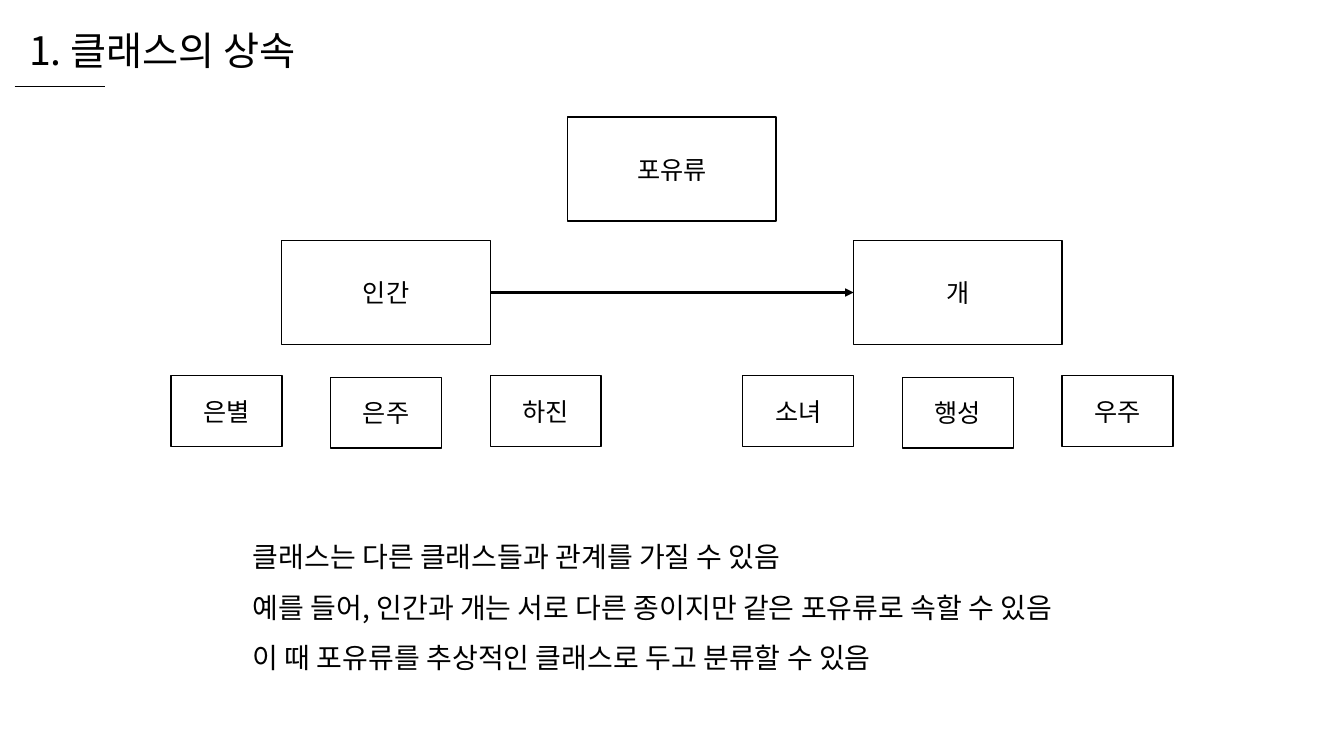
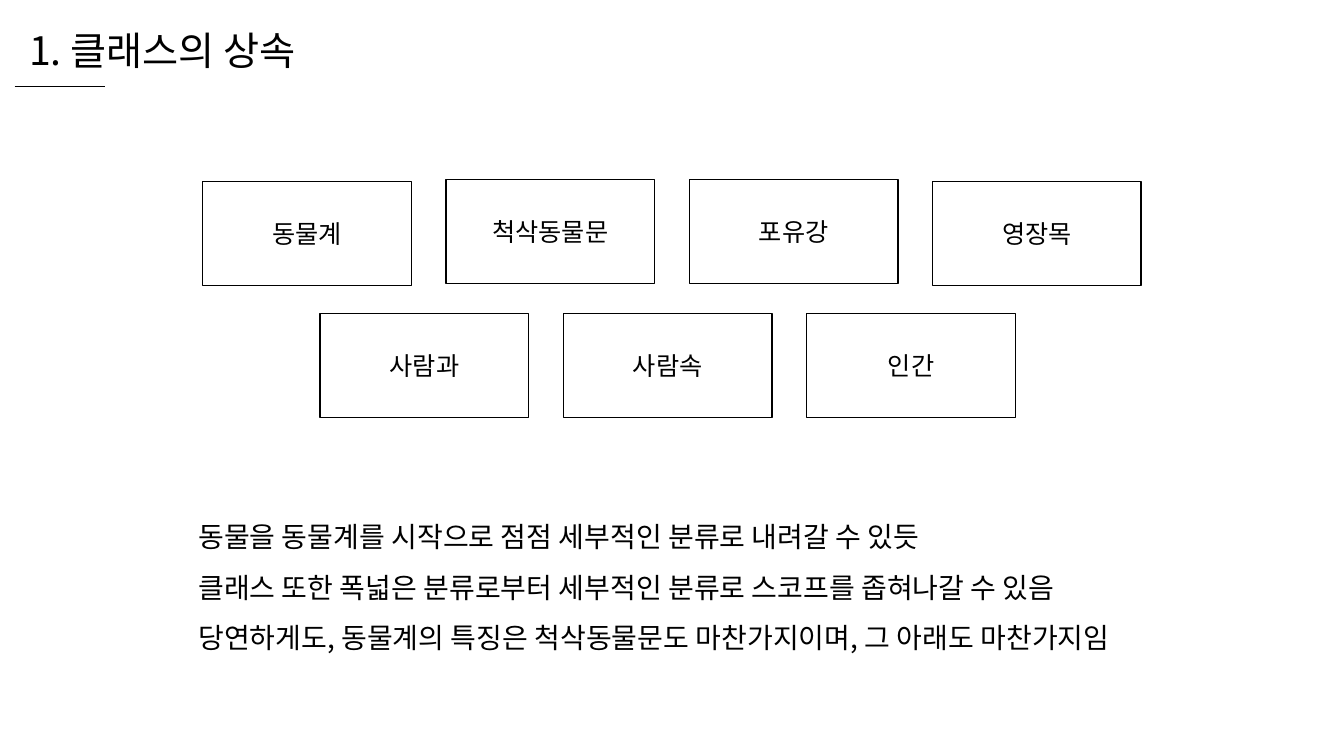
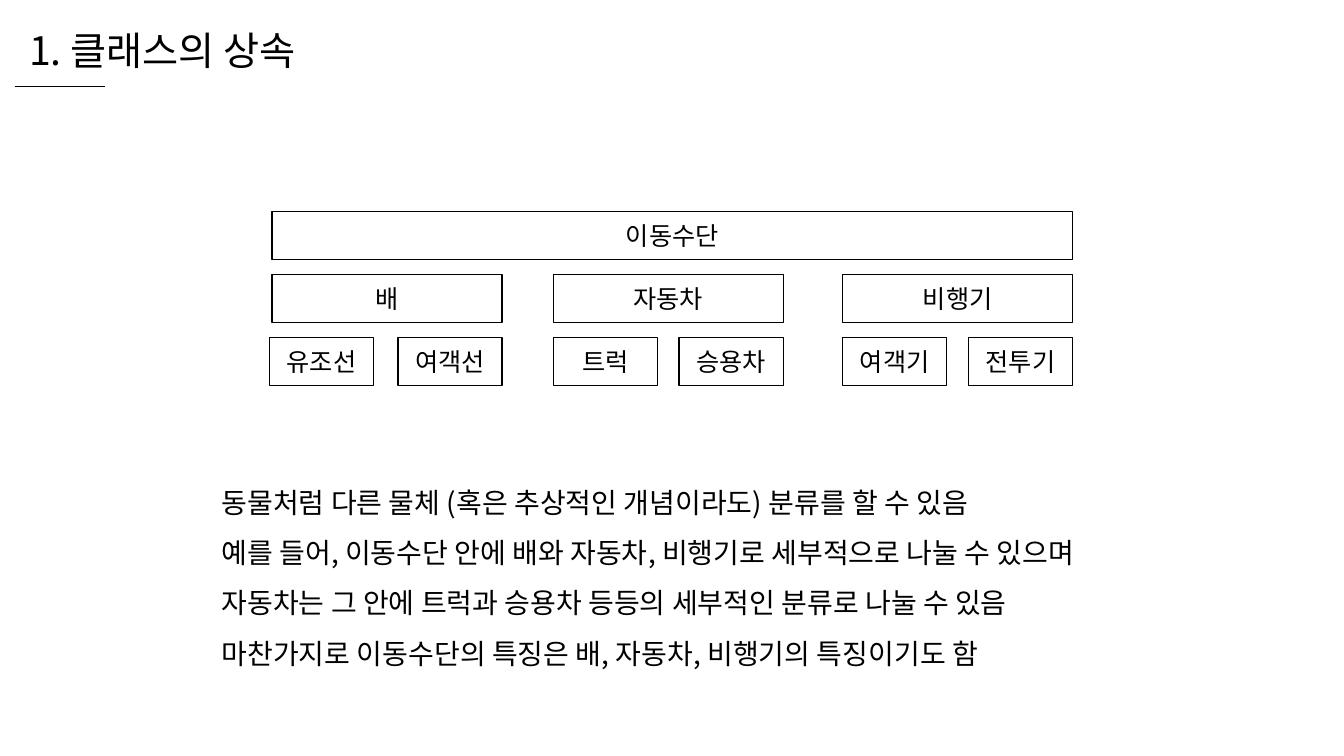
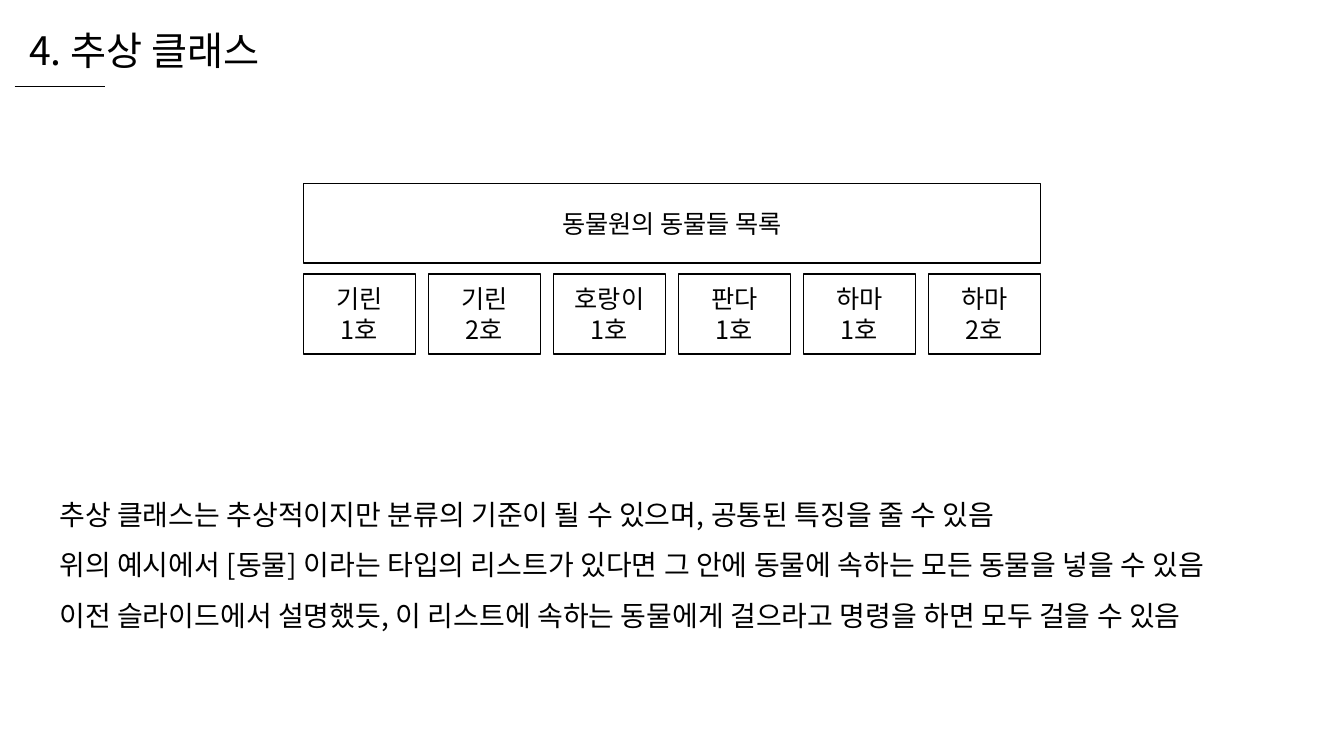
from dataclasses import dataclass

from lxml.etree import SubElement
from pptx import Presentation
from pptx.dml.color import RGBColor
from pptx.enum.shapes import MSO_CONNECTOR, MSO_SHAPE
from pptx.enum.text import MSO_ANCHOR, MSO_AUTO_SIZE, PP_ALIGN
from pptx.oxml.ns import qn
from pptx.util import Pt


@dataclass(frozen=True)
class Theme:
    font: str = "Noto Sans CJK KR"
    ink: RGBColor = RGBColor(0, 0, 0)
    paper: RGBColor = RGBColor(255, 255, 255)
    title_size: int = 28
    body_size: int = 20
    box_size: int = 18
    body_spacing: float = 1.5
    rule_width: float = 0.5
    box_line: float = 1
    arrow_width: float = 1.5


THEME = Theme()
WIDTH, HEIGHT = 960, 540
CENTER = WIDTH / 2
CLASS_BOX = (149, 74.3)  # width and height

# Content: title with its width, then body text with its left, top, width, height
INHERITANCE = ("1. 클래스의 상속", 224)
ABSTRACT = ("4. 추상 클래스", 189.4)

MAMMAL = "포유류"
SPECIES = [
    ("인간", ["은별", "은주", "하진"]),
    ("개", ["소녀", "행성", "우주"]),
]
MAMMAL_BODY = ((173.5, 370, 613.4, 112.3), [
    "클래스는 다른 클래스들과 관계를 가질 수 있음",
    "예를 들어, 인간과 개는 서로 다른 종이지만 같은 포유류로 속할 수 있음",
    "이 때 포유류를 추상적인 클래스로 두고 분류할 수 있음",
])

UPPER_RANKS = ["동물계", "척삭동물문", "포유강", "영장목"]
LOWER_RANKS = ["사람과", "사람속", "인간"]
RANK_BODY = ((134.6, 355.7, 691.2, 112.3), [
    "동물을 동물계를 시작으로 점점 세부적인 분류로 내려갈 수 있듯",
    "클래스 또한 폭넓은 분류로부터 세부적인 분류로 스코프를 좁혀나갈 수 있음",
    "당연하게도, 동물계의 특징은 척삭동물문도 마찬가지이며, 그 아래도 마찬가지임",
])

TRANSPORT = "이동수단"
VEHICLES = [  # name, left, left of the first kind, kinds
    ("배", 194.4, 192.4, ["유조선", "여객선"]),
    ("자동차", 395.3, 395.3, ["트럭", "승용차"]),
    ("비행기", 601.9, 601.9, ["여객기", "전투기"]),
]
VEHICLE_BODY = ((151.2, 331, 651.6, 148.3), [
    "동물처럼 다른 물체 (혹은 추상적인 개념이라도) 분류를 할 수 있음",
    "예를 들어, 이동수단 안에 배와 자동차, 비행기로 세부적으로 나눌 수 있으며",
    "자동차는 그 안에 트럭과 승용차 등등의 세부적인 분류로 나눌 수 있음",
    "마찬가지로 이동수단의 특징은 배, 자동차, 비행기의 특징이기도 함",
])

ZOO = "동물원의 동물들 목록"
ANIMALS = ["기린\n1호", "기린\n2호", "호랑이\n1호", "판다\n1호", "하마\n1호", "하마\n2호"]
ZOO_BODY = ((35.3, 339.8, 889.9, 112.3), [
    "추상 클래스는 추상적이지만 분류의 기준이 될 수 있으며, 공통된 특징을 줄 수 있음",
    "위의 예시에서 [동물] 이라는 타입의 리스트가 있다면 그 안에 동물에 속하는 모든 동물을 넣을 수 있음",
    "이전 슬라이드에서 설명했듯, 이 리스트에 속하는 동물에게 걸으라고 명령을 하면 모두 걸을 수 있음",
])


# Shared helpers
def write_text(shape, text, size, frame_format, paragraph_format):
    frame = shape.text_frame
    frame.text = text
    for name, value in frame_format.items():
        setattr(frame, name, value)
    for paragraph in frame.paragraphs:
        for name, value in paragraph_format.items():
            setattr(paragraph, name, value)
        for run in paragraph.runs:
            for name, value in {"name": THEME.font, "size": Pt(size)}.items():
                setattr(run.font, name, value)
            run.font.color.rgb = THEME.ink
            SubElement(run._r.get_or_add_rPr(), qn("a:ea"), typeface=THEME.font)


FREE_TEXT = {
    "word_wrap": False,
    "auto_size": MSO_AUTO_SIZE.SHAPE_TO_FIT_TEXT,
    "vertical_anchor": MSO_ANCHOR.TOP,
}
BOX_TEXT = {"word_wrap": True, "vertical_anchor": MSO_ANCHOR.MIDDLE}


def add_line(slide, start, end, width):
    line = slide.shapes.add_connector(
        MSO_CONNECTOR.STRAIGHT, *map(Pt, (*start, *end)))
    line.line.color.rgb = THEME.ink
    line.line.width = Pt(width)
    SubElement(line._element.spPr, qn("a:effectLst"))
    return line


def add_box(slide, text, left, top, width, height):
    box = slide.shapes.add_shape(
        MSO_SHAPE.RECTANGLE, *map(Pt, (left, top, width, height)))
    box.shadow.inherit = False
    box.fill.solid()
    box.fill.fore_color.rgb = THEME.paper
    box.line.color.rgb = THEME.ink
    box.line.width = Pt(THEME.box_line)
    write_text(box, text, THEME.box_size, BOX_TEXT, {"alignment": PP_ALIGN.CENTER})
    return box


def add_row(slide, labels, center, tops, size, pitch):
    """Boxes at an equal pitch around a center, each with its own top."""
    first = center - (pitch * (len(labels) - 1) + size[0]) / 2
    return [add_box(slide, label, first + index * pitch, top, *size)
            for index, (label, top) in enumerate(zip(labels, tops))]


def add_slide(presentation, heading, body):
    slide = presentation.slides.add_slide(presentation.slide_layouts[5])
    text, width = heading
    title = slide.shapes.title
    place = {"left": 13.7, "top": 15.1, "width": width, "height": 41.2}
    for name, value in place.items():
        setattr(title, name, Pt(value))
    write_text(title, text, THEME.title_size, FREE_TEXT, {"alignment": PP_ALIGN.LEFT})
    add_line(slide, (10.4, 61.5), (75, 61.5), THEME.rule_width)

    area, lines = body
    text_box = slide.shapes.add_textbox(*map(Pt, area))
    write_text(text_box, "\n".join(lines), THEME.body_size, FREE_TEXT,
               {"line_spacing": THEME.body_spacing})
    return slide


# Slides
def build_mammals(presentation):
    slide = add_slide(presentation, INHERITANCE, MAMMAL_BODY)
    add_row(slide, [MAMMAL], CENTER, [83.5], CLASS_BOX, 0)
    names = [name for name, _ in SPECIES]
    spread = 408.4
    human, dog = add_row(slide, names, CENTER, [171.8] * 2, CLASS_BOX, spread)
    for index, (_, members) in enumerate(SPECIES):
        center = CENTER + (index - 0.5) * spread
        add_row(slide, members, center, [268.3, 269.5, 268.3], (79.2, 50.6), 114)
    arrow = add_line(slide, (0, 0), (0, 0), THEME.arrow_width)
    arrow.begin_connect(human, 3)
    arrow.end_connect(dog, 1)
    SubElement(arrow.line._get_or_add_ln(), qn("a:tailEnd"), type="triangle")


def build_ranks(presentation):
    slide = add_slide(presentation, INHERITANCE, RANK_BODY)
    pitch = 173.8
    add_row(slide, UPPER_RANKS, CENTER, [129.6, 128.2, 128.2, 129.6], CLASS_BOX, pitch)
    add_row(slide, LOWER_RANKS, 477, [223.8] * 3, CLASS_BOX, pitch)


def build_vehicles(presentation):
    slide = add_slide(presentation, INHERITANCE, VEHICLE_BODY)
    height, group_width, kind_width = 34.2, 164.2, 74.4
    top, group_top, kind_top = (151 + level * 45 for level in range(3))
    add_box(slide, TRANSPORT, 194.4, top, 571.7, height)
    for name, left, kind_left, kinds in VEHICLES:
        add_box(slide, name, left, group_top, group_width, height)
        lefts = (kind_left, left + group_width - kind_width)
        for kind, edge in zip(kinds, lefts):
            add_box(slide, kind, edge, kind_top, kind_width, height)


def build_zoo(presentation):
    slide = add_slide(presentation, ABSTRACT, ZOO_BODY)
    width, height, tile = 526.3, 57, 80
    add_row(slide, [ZOO], CENTER, [131], (width, height), 0)
    pitch = (width - tile) / (len(ANIMALS) - 1)
    add_row(slide, ANIMALS, CENTER, [195.8] * len(ANIMALS), (tile, height), pitch)


def main():
    presentation = Presentation()
    presentation.slide_width, presentation.slide_height = Pt(WIDTH), Pt(HEIGHT)
    for build in (build_mammals, build_ranks, build_vehicles, build_zoo):
        build(presentation)
    presentation.save("out.pptx")


if __name__ == "__main__":
    main()
